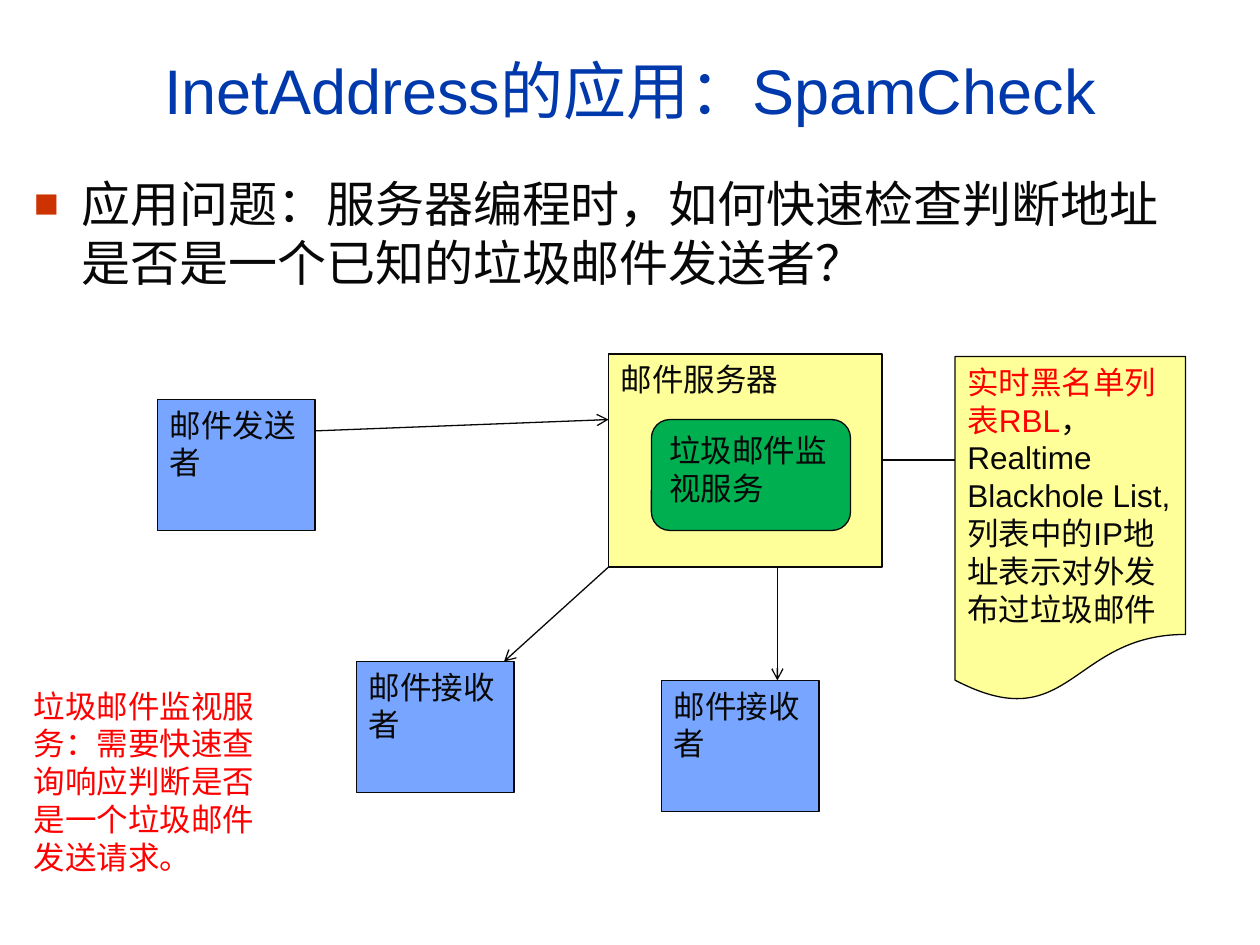
from lxml.etree import SubElement as Sub
from pptx import Presentation
from pptx.dml.color import RGBColor as RGB
from pptx.enum.shapes import MSO_CONNECTOR as Conn, MSO_SHAPE as Geo
from pptx.enum.text import MSO_ANCHOR as Anchor, PP_ALIGN as Align
from pptx.oxml.ns import qn
from pptx.util import Inches, Pt

FONT = "Arial"
COLORS = {
    "title": "0039AC",
    "ink": "080808",
    "red": "FF0000",
    "bullet": "CC3300",
    "yellow": "FFFF99",
    "blue": "78A5FF",
    "green": "00B050",
}


def color(name):
    return RGB.from_string(COLORS[name])


def fill_text(frame, runs, size=18, align=Align.LEFT, anchor=Anchor.TOP):
    frame.word_wrap = True
    frame.vertical_anchor = anchor
    para = frame.paragraphs[0]
    para.alignment = align
    for text, tint in runs:
        run = para.add_run()
        run.text = text
        run.font.name = FONT
        run.font.size = Pt(size)
        run.font.color.rgb = color(tint)
    return para


def add_text(slide, box, runs, **style):
    shape = slide.shapes.add_textbox(*map(Inches, box))
    return fill_text(shape.text_frame, runs, **style)


def add_bullet(para, indent):
    props = para._p.get_or_add_pPr()
    props.set("marL", str(Inches(indent)))
    props.set("indent", str(-Inches(indent)))
    tint = Sub(props, qn("a:buClr"))
    Sub(tint, qn("a:srgbClr"), val=COLORS["bullet"])
    Sub(props, qn("a:buSzPct"), val="85000")
    Sub(props, qn("a:buFont"), typeface=FONT)
    Sub(props, qn("a:buChar"), char="■")


def add_node(slide, geo, box, fill, runs):
    node = slide.shapes.add_shape(geo, *map(Inches, box))
    node.shadow.inherit = False
    node.fill.solid()
    node.fill.fore_color.rgb = color(fill)
    node.line.color.rgb = color("ink")
    node.line.width = Pt(0.75)
    fill_text(node.text_frame, runs)


def add_link(slide, start, end, arrow=True):
    link = slide.shapes.add_connector(Conn.STRAIGHT, *map(Inches, start + end))
    link.line.color.rgb = color("ink")
    link.line.width = Pt(0.75)
    if arrow:
        Sub(link.line._get_or_add_ln(), qn("a:tailEnd"), type="arrow")
    Sub(link._element.spPr, qn("a:effectLst"))


def main():
    deck = Presentation()
    deck.slide_width, deck.slide_height = Inches(10), Inches(7.5)
    slide = deck.slides.add_slide(deck.slide_layouts[6])

    add_text(slide, (0.33, 0.25, 9.34, 0.92),
             [("InetAddress的应用：SpamCheck", "title")],
             size=36, align=Align.CENTER, anchor=Anchor.MIDDLE)
    question = add_text(
        slide, (0.17, 1.33, 9.34, 5.5),
        [("应用问题：服务器编程时，如何快速检查判断地址是否是一个已知的垃圾邮件发送者？", "ink")],
        size=28)
    add_bullet(question, 0.38)

    add_node(slide, Geo.FLOWCHART_DOCUMENT, (7.58, 2.83, 1.83, 2.75), "yellow",
             [("实时黑名单列表RBL", "red"),
              ("，Realtime Blackhole List,列表中的IP地址表示对外发布过垃圾邮件", "ink")])
    add_node(slide, Geo.FLOWCHART_PROCESS, (4.83, 2.81, 2.17, 1.69), "yellow",
             [("邮件服务器", "ink")])
    for left, top, label in (
        (1.25, 3.17, "邮件发送者"),
        (2.83, 5.25, "邮件接收者"),
        (5.25, 5.4, "邮件接收者"),
    ):
        add_node(slide, Geo.FLOWCHART_PROCESS, (left, top, 1.25, 1.04), "blue",
                 [(label, "ink")])

    add_link(slide, (7, 3.65), (7.58, 3.65), arrow=False)
    for start, end in (
        ((4.83, 4.5), (4, 5.25)),
        ((6.17, 4.5), (6.17, 5.4)),
        ((2.5, 3.42), (4.83, 3.33)),
    ):
        add_link(slide, start, end)

    add_node(slide, Geo.ROUNDED_RECTANGLE, (5.17, 3.33, 1.58, 0.88), "green",
             [("垃圾邮件监视服务", "ink")])
    add_text(slide, (0.17, 5.4, 2, 1.62),
             [("垃圾邮件监视服务：需要快速查询响应判断是否是一个垃圾邮件发送请求。", "red")])

    deck.save("out.pptx")


if __name__ == "__main__":
    main()
